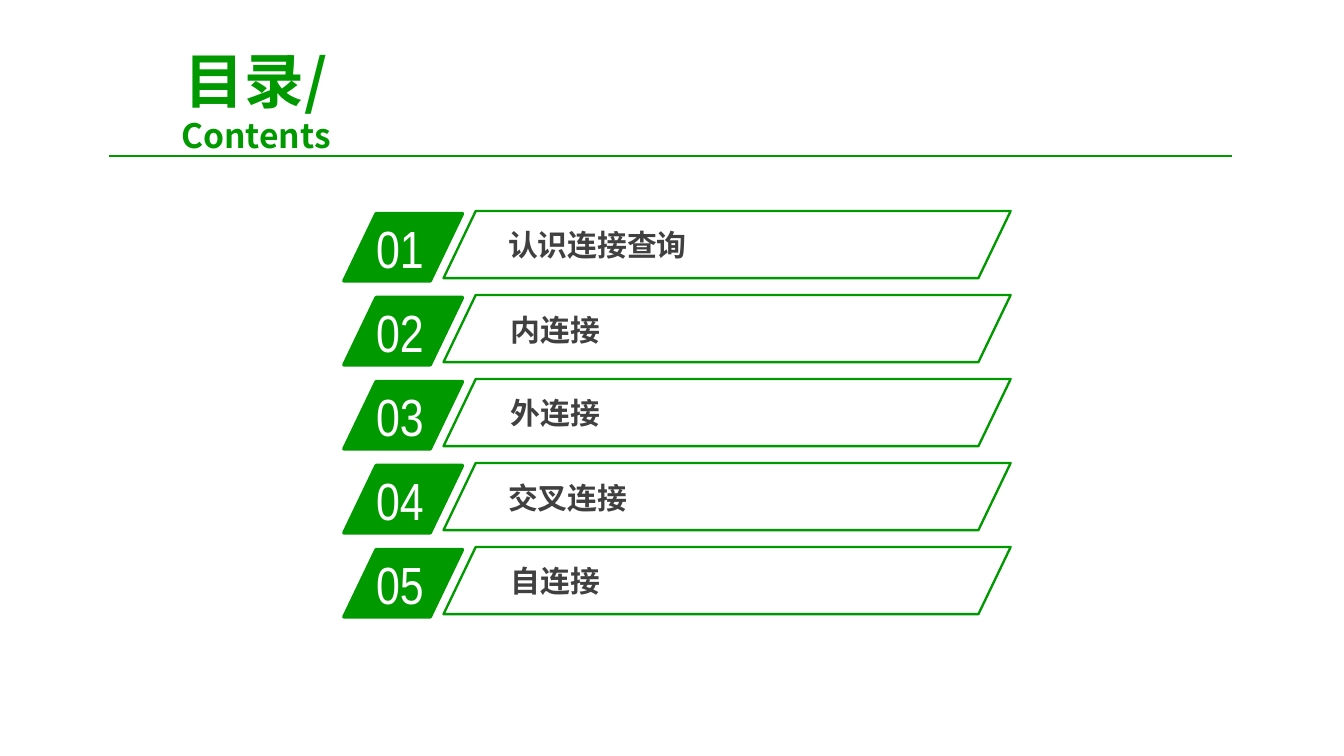
import pptx
import pptx.util
import pptx.dml.color
import pptx.enum.shapes
import pptx.enum.text
import pptx.oxml.ns
from lxml import etree
from pptx.util import Inches, Pt

TITLE = "目录/"
SUBTITLE = "Contents"
# Each chapter: label, left edge and width of its text box
CHAPTERS = [
    ("认识连接查询", 3.71, 3.31),
    ("内连接", 3.73, 3.37),
    ("外连接", 3.73, 3.37),
    ("交叉连接", 3.71, 3.31),
    ("自连接", 3.73, 3.37),
]

THEME = {
    "green": pptx.dml.color.RGBColor.from_string("009900"),
    "white": pptx.dml.color.RGBColor.from_string("FFFFFF"),
    "gray": pptx.dml.color.RGBColor.from_string("404040"),
    "heading_font": "Noto Sans CJK SC",
    "number_font": "Arial Narrow",
    "title_size": 32,
    "subtitle_size": 18,
    "number_size": 28,
    "label_size": 16,
}

SLIDE_WIDTH = 10
SLIDE_HEIGHT = SLIDE_WIDTH * 9 / 16
FIRST_ROW_TOP = 1.57
LAST_ROW_TOP = 4.07
ROW_PITCH = (LAST_ROW_TOP - FIRST_ROW_TOP) / (len(CHAPTERS) - 1)
ROW_HEIGHT = 0.5
SLANT = 0.48


def format_run(run, font, size, color, bold=False):
    run.font.name = font
    run.font.size = Pt(size)
    run.font.bold = bold
    run.font.color.rgb = color
    east_asian = etree.SubElement(run.font._element, pptx.oxml.ns.qn("a:ea"))
    east_asian.set("typeface", font)


def add_text_box(slide, left, top, width, height, text):
    box = slide.shapes.add_textbox(Inches(left), Inches(top), Inches(width), Inches(height))
    box.text_frame.word_wrap = True
    box.text_frame.text = text
    return box.text_frame


def add_parallelogram(slide, left, top, width, line_width, filled):
    shape = slide.shapes.add_shape(
        pptx.enum.shapes.MSO_SHAPE.PARALLELOGRAM,
        Inches(left), Inches(top), Inches(width), Inches(ROW_HEIGHT))
    shape.adjustments[0] = SLANT
    shape.shadow.inherit = False
    if filled:
        shape.fill.solid()
        shape.fill.fore_color.rgb = THEME["green"]
    else:
        shape.fill.background()
    shape.line.color.rgb = THEME["green"]
    shape.line.width = Pt(line_width)


def add_heading(slide):
    frame = add_text_box(slide, 0.67, 0.47, 2.47, 0.54, f"{TITLE}\v{SUBTITLE}")
    frame.vertical_anchor = pptx.enum.text.MSO_ANCHOR.MIDDLE
    paragraph = frame.paragraphs[0]
    paragraph.alignment = pptx.enum.text.PP_ALIGN.CENTER
    paragraph.space_before = Pt(6.4)
    for run, size in zip(paragraph.runs, (THEME["title_size"], THEME["subtitle_size"])):
        format_run(run, THEME["heading_font"], size, THEME["green"], bold=True)

    rule = slide.shapes.add_connector(
        pptx.enum.shapes.MSO_CONNECTOR.STRAIGHT,
        Inches(0.81), Inches(1.16), Inches(9.17), Inches(1.16))
    rule.line.color.rgb = THEME["green"]
    rule.line.width = Pt(0.75)
    etree.SubElement(rule._element.spPr, pptx.oxml.ns.qn("a:effectLst"))


def add_chapter(slide, number, label, label_left, label_width):
    top = FIRST_ROW_TOP + (number - 1) * ROW_PITCH
    add_parallelogram(slide, 2.56, top + 0.02, 0.88, line_width=2, filled=True)
    frame = add_text_box(slide, 2.7, top - 0.01, 0.84, 0.57, f"{number:02d}")
    format_run(frame.paragraphs[0].runs[0], THEME["number_font"],
               THEME["number_size"], THEME["white"])

    frame = add_text_box(slide, label_left, top + 0.08, label_width, 0.35, label)
    frame.margin_left = frame.margin_right = Inches(0.07)
    frame.margin_top = frame.margin_bottom = Inches(0.04)
    format_run(frame.paragraphs[0].runs[0], THEME["heading_font"],
               THEME["label_size"], THEME["gray"], bold=True)
    add_parallelogram(slide, 3.3, top, 4.22, line_width=1.25, filled=False)


def main():
    presentation = pptx.Presentation()
    presentation.slide_width = Inches(SLIDE_WIDTH)
    presentation.slide_height = Inches(SLIDE_HEIGHT)
    slide = presentation.slides.add_slide(presentation.slide_layouts[6])
    add_heading(slide)
    for number, (label, label_left, label_width) in enumerate(CHAPTERS, start=1):
        add_chapter(slide, number, label, label_left, label_width)
    presentation.save("out.pptx")


if __name__ == "__main__":
    main()
